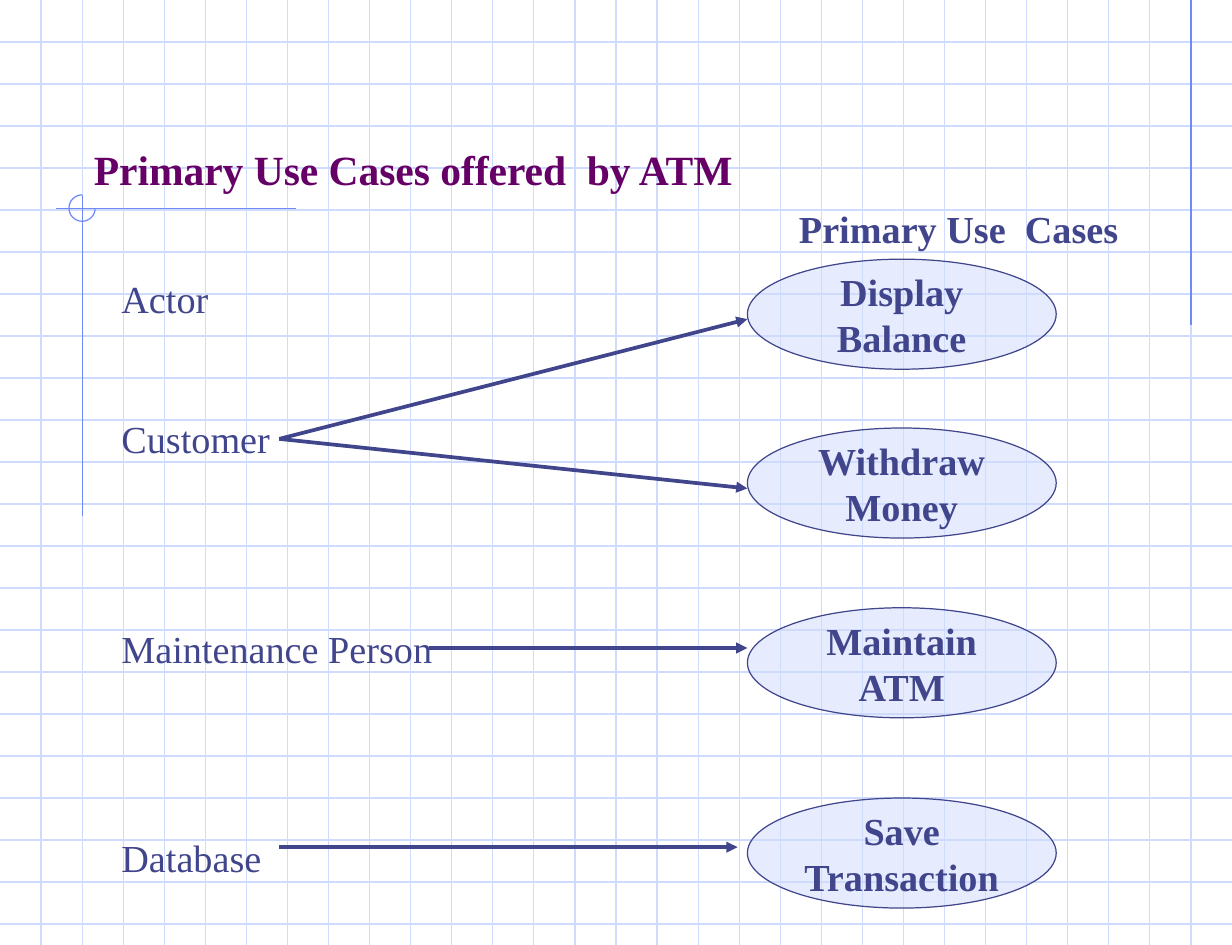
from lxml import etree
from pptx import Presentation, util as u
from pptx.dml.color import RGBColor
from pptx.enum import shapes as kinds, text as t
from pptx.oxml.ns import qn

WIDTH, HEIGHT = 10.3, 7.9
COLUMNS, ROWS = 30, 22.5
INK, PLUM, GRID, RULE = "40458C", "660066", "CFDBFD", "6F89F7"
LINE_HEIGHT, PARA_GAP = 27.7, 14.4


def column(count):
    return u.Inches(count * WIDTH / COLUMNS)


def row(count):
    return u.Inches(count * HEIGHT / ROWS)


def place(box):
    """Turn left, top, width and height in grid units into lengths."""
    left, top, width, height = box
    return column(left), row(top), column(width), row(height)


def color(hex_code):
    return RGBColor.from_string(hex_code)


def set_line(shape, hex_code, points):
    shape.line.color.rgb = color(hex_code)
    shape.line.width = u.Pt(points)


def add_line(page, start, end, hex_code=GRID, points=0.75, arrow=False):
    line = page.shapes.add_connector(
        kinds.MSO_CONNECTOR.STRAIGHT,
        column(start[0]), row(start[1]), column(end[0]), row(end[1]))
    set_line(line, hex_code, points)
    if arrow:
        etree.SubElement(line.line._get_or_add_ln(), qn("a:tailEnd"), type="triangle")
    etree.SubElement(line._element.spPr, qn("a:effectLst"))


def write(shape, lines, spacing=LINE_HEIGHT, gaps=(), align="LEFT",
          anchor="TOP", wrap=True, **font):
    """Fill a shape with one paragraph per line; gaps are points above each."""
    frame = shape.text_frame
    frame.word_wrap = wrap
    frame.vertical_anchor = getattr(t.MSO_ANCHOR, anchor)
    look = {"name": "Times New Roman", "size": u.Pt(23), "bold": True, **font}
    ink = look.pop("ink", INK)
    for index, words in enumerate(lines):
        para = frame.add_paragraph() if index else frame.paragraphs[0]
        para.alignment = getattr(t.PP_ALIGN, align)
        para.line_spacing = u.Pt(spacing) if spacing else None
        if index and gaps:
            para.space_before = u.Pt(gaps[index])
        span = para.add_run()
        span.text = words
        for key, value in look.items():
            setattr(span.font, key, value)
        span.font.color.rgb = color(ink)


def draw_backdrop(page):
    for step in range(1, int(ROWS) + 1):
        add_line(page, (0, step), (COLUMNS, step))
    for step in range(1, COLUMNS):
        add_line(page, (step, 0), (step, ROWS))
    for start, end in (((29, 0), (29, 7.75)),
                       ((7.22, 4.96), (1.37, 4.96)),
                       ((2, 4.64), (2, 12.28))):
        add_line(page, start, end, RULE)
    ring = page.shapes.add_shape(kinds.MSO_SHAPE.ARC, *place((1.68, 4.64, 0.64, 0.63)))
    ring.shadow.inherit = False
    ring.adjustments[0], ring.adjustments[1] = 0, 162  # right side round to the top
    ring.fill.background()
    set_line(ring, RULE, 0.75)


def draw_heading(page, box, words, **look):
    write(page.shapes.add_textbox(*place(box)), [words], **look)


def draw_actors(page, box):
    actors = {"Actor": 0, "Customer": 2, "Maintenance Person": 3, "Database": 3}
    gaps = [rows * (LINE_HEIGHT + PARA_GAP) - LINE_HEIGHT for rows in actors.values()]
    write(page.shapes.add_textbox(*place(box)), actors, gaps=gaps, bold=False)


def draw_use_cases(page, box):
    """Stack the ellipses down the box, each 2.62 rows high."""
    left, top, width, _ = box
    cases = ((0, "Display", "Balance"), (4.02, "Withdraw", "Money"),
             (8.3, "Maintain", "ATM"), (12.83, "Save", "Transaction"))
    for drop, *words in cases:
        oval = page.shapes.add_shape(
            kinds.MSO_SHAPE.OVAL, *place((left, top + drop, width, 2.62)))
        oval.shadow.inherit = False
        oval.fill.solid()
        oval.fill.fore_color.rgb = color(GRID)
        tint = oval._element.spPr.find(".//" + qn("a:srgbClr"))
        etree.SubElement(tint, qn("a:alpha"), val="50000")
        set_line(oval, INK, 0.75)
        write(oval, words, align="CENTER", anchor="MIDDLE", wrap=False)


def draw_arrows(page, box):
    """Link actors to use cases; offsets run from the box's top left corner."""
    left, top, width, height = box
    arrows = (((0, height), (width - 0.24, height)),
              ((3.64, 7.83), (width, 7.83)),
              ((0, 2.85), (width, 4.03)),
              ((0, 2.85), (width, 0)))
    for (x1, y1), (x2, y2) in arrows:
        add_line(page, (left + x1, top + y1), (left + x2, top + y2), INK, 2.25, True)


def main():
    deck = Presentation()
    deck.slide_width, deck.slide_height = u.Inches(WIDTH), u.Inches(HEIGHT)
    page = deck.slides.add_slide(deck.slide_layouts[6])
    draw_backdrop(page)
    draw_heading(page, (2, 3.33, 25.5, 1.42), "Primary Use Cases offered  by ATM",
                 spacing=None, anchor="BOTTOM", size=u.Pt(25), ink=PLUM)
    draw_actors(page, (2.67, 6.41, 9.96, 14.67))
    draw_use_cases(page, (18.2, 6.17, 7.52, 15.45))
    draw_arrows(page, (6.8, 7.6, 11.4, 12.57))
    draw_heading(page, (19.17, 4.75, 9.47, 1.4), "Primary Use  Cases")
    deck.save("out.pptx")


if __name__ == "__main__":
    main()
